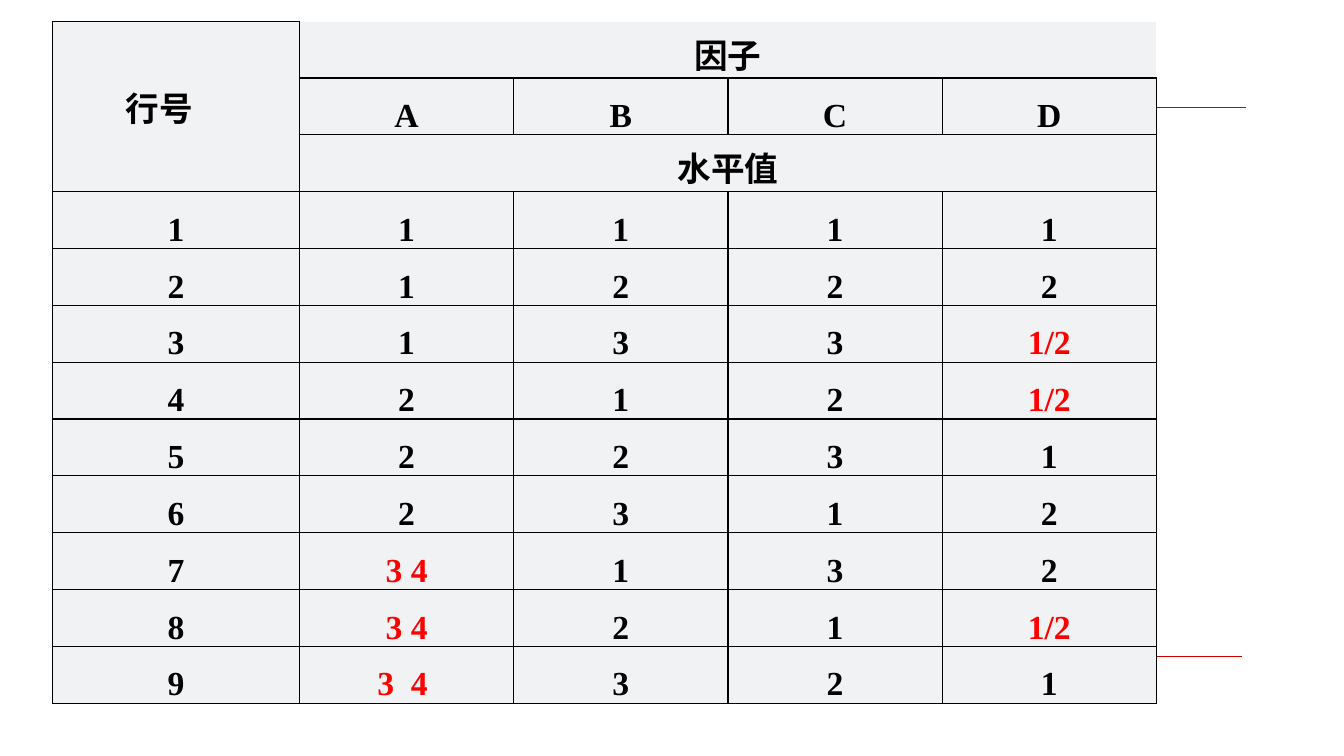
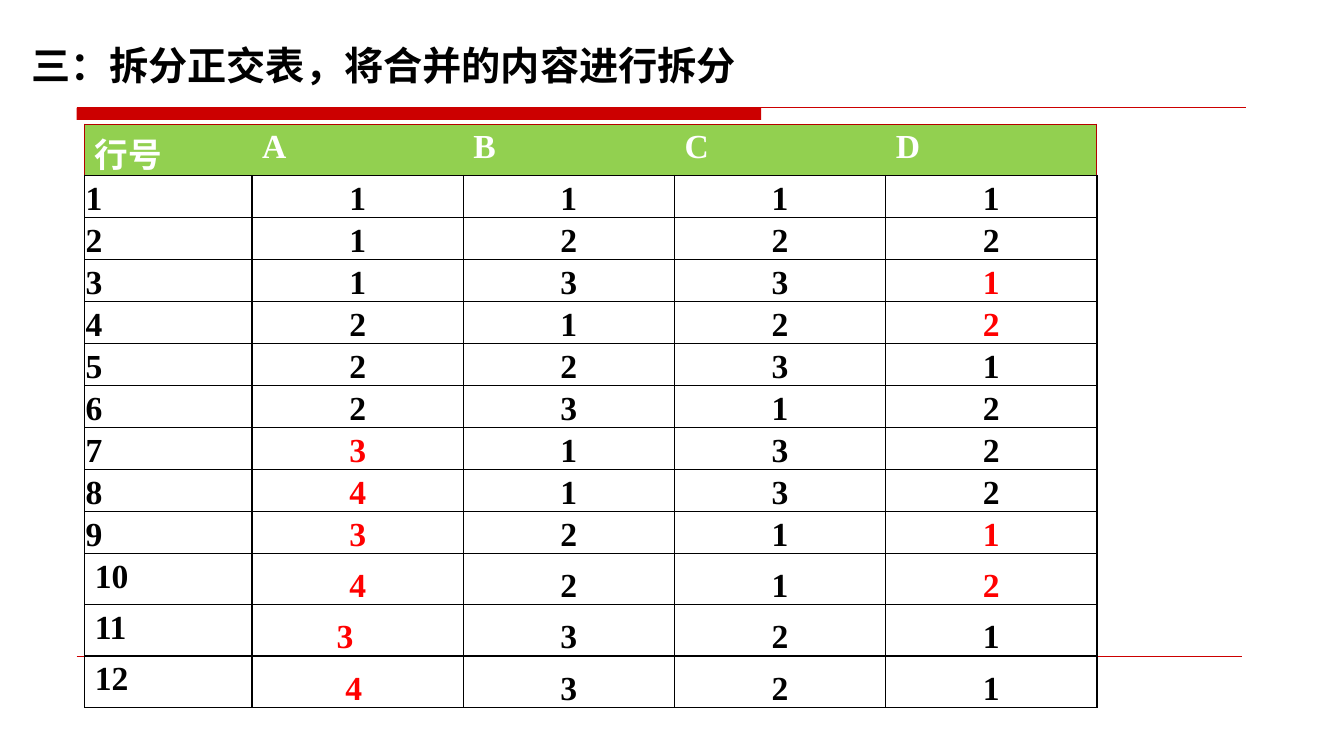
"""Build two slides that show an orthogonal array before and after its merged levels are split."""
from dataclasses import dataclass

from lxml import etree
from pptx import Presentation
from pptx.dml.color import RGBColor
from pptx.enum.shapes import MSO_CONNECTOR, MSO_SHAPE
from pptx.enum.text import MSO_ANCHOR, PP_ALIGN
from pptx.oxml.ns import qn
from pptx.util import Inches, Pt

RECTANGLE = MSO_SHAPE.RECTANGLE
STRAIGHT = MSO_CONNECTOR.STRAIGHT
LEFT, CENTER = PP_ALIGN.LEFT, PP_ALIGN.CENTER
TOP, MIDDLE, BOTTOM = MSO_ANCHOR.TOP, MSO_ANCHOR.MIDDLE, MSO_ANCHOR.BOTTOM


@dataclass(frozen=True)
class Theme:
    """Colours, fonts and type sizes."""
    black: str = "000000"
    white: str = "FFFFFF"
    accent: str = "CC0000"
    edge: str = "B50000"
    changed: str = "FF0000"
    panel: str = "F0F2F4"
    header: str = "92D050"
    latin: str = "Times New Roman"
    chinese: str = "Noto Sans CJK SC"
    title_size: int = 28
    cell_size: int = 24


theme = Theme()
BLACK_LINE = (theme.black, 1)
WHITE_LINE = (theme.white, 1)
EDGE_LINE = (theme.edge, 0.75)
BOXED = dict.fromkeys("LRTB", BLACK_LINE)


def style_paragraph(para, size, latin, color):
    """Set the bold font of a whole paragraph, Chinese letters included."""
    font = para.font
    font.size, font.bold, font.name = Pt(size), True, latin
    font.color.rgb = RGBColor.from_string(color)
    east_asian = etree.Element(qn("a:ea"), typeface=theme.chinese)
    font._element.find(qn("a:latin")).addnext(east_asian)


def fill_cell(cell, text, fill, color=theme.black, align=CENTER, anchor=BOTTOM,
              borders=BOXED, tight=True, right_inset=0.01):
    """Write one table cell with its fill and borders."""
    properties = cell._tc.get_or_add_tcPr()
    for side in "LRTB":
        line = etree.SubElement(properties, qn(f"a:ln{side}"))
        if side in borders:
            line_color, width = borders[side]
            line.set("w", str(Pt(width)))
            solid = etree.SubElement(line, qn("a:solidFill"))
            etree.SubElement(solid, qn("a:srgbClr"), val=line_color)
        else:
            etree.SubElement(line, qn("a:noFill"))
    cell.fill.solid()
    cell.fill.fore_color.rgb = RGBColor.from_string(fill)
    cell.vertical_anchor = anchor
    if tight:
        cell.margin_left = cell.margin_top = Inches(0.01)
        cell.margin_right, cell.margin_bottom = Inches(right_inset), 0
    para = cell.text_frame.paragraphs[0]
    para.text, para.alignment = text, align
    style_paragraph(para, theme.cell_size, theme.latin, color)


deck = Presentation()
deck.slide_width, deck.slide_height = Inches(13.33), Inches(7.5)
blank = deck.slide_layouts[6]

pages = []
for _ in range(2):
    page = deck.slides.add_slide(blank)
    band = page.shapes.add_shape(RECTANGLE, Inches(0.76), Inches(1.07), Inches(6.79), Inches(0.12))
    band.shadow.inherit = False
    band.fill.solid()
    band.fill.fore_color.rgb = RGBColor.from_string(theme.accent)
    band.line.fill.background()
    for right, y, width in ((12.36, 1.07, 0.75), (12.32, 6.51, 0.25)):
        rule = page.shapes.add_connector(STRAIGHT, Inches(0.76), Inches(y), Inches(right), Inches(y))
        rule.line.color.rgb = RGBColor.from_string(theme.accent)
        rule.line.width = Pt(width)
        etree.SubElement(rule._element.spPr, qn("a:effectLst"))
    pages.append(page)
merged_page, split_page = pages

title_box = split_page.shapes.add_textbox(Inches(0.21), Inches(0.13), Inches(11.67), Inches(0.9))
title_box.text_frame.word_wrap = True
title = title_box.text_frame.paragraphs[0]
title.text = "三：拆分正交表，将合并的内容进行拆分"
title.line_spacing, title.space_before = 1.5, Pt(6)
style_paragraph(title, theme.title_size, theme.chinese, theme.black)

factors = ["A", "B", "C", "D"]
merged_rows = [
    ["行号", "因子", "", "", ""],
    ["", *factors],
    ["", "水平值", "", "", ""],
    ["1", "1", "1", "1", "1"],
    ["2", "1", "2", "2", "2"],
    ["3", "1", "3", "3", "1/2"],
    ["4", "2", "1", "2", "1/2"],
    ["5", "2", "2", "3", "1"],
    ["6", "2", "3", "1", "2"],
    ["7", "4", "1", "3", "2"],
    ["8", "4", "2", "1", "1/2"],
    ["9", "3  4", "3", "2", "1"],
]
split_rows = [
    ["行号", *factors],
    ["1", "1", "1", "1", "1"],
    ["2", "1", "2", "2", "2"],
    ["3", "1", "3", "3", "1"],
    ["4", "2", "1", "2", "2"],
    ["5", "2", "2", "3", "1"],
    ["6", "2", "3", "1", "2"],
    ["7", "3", "1", "3", "2"],
    ["8", "4", "1", "3", "2"],
    ["9", "3", "2", "1", "1"],
    ["10", "4", "2", "1", "2"],
    ["11", "3", "3", "2", "1"],
    ["12", "4", "3", "2", "1"],
]
merged_heights = [6.77 / 12] * 12
split_heights = [0.51] + [3.75 / 9] * 9 + [0.51] * 3

tables = []
for page, rows, heights, left, top, width, first in (
        (merged_page, merged_rows, merged_heights, 0.52, 0.21, 10.95, 2.45),
        (split_page, split_rows, split_heights, 0.84, 1.23, 10.04, 1.66)):
    frame = page.shapes.add_table(len(rows), 5, Inches(left), Inches(top),
                                  Inches(width), Inches(sum(heights)))
    table = frame.table
    table.first_row = table.horz_banding = False
    for index, column in enumerate(table.columns):
        column.width = Inches(first if index == 0 else (width - first) / 4)
    for row, height in zip(table.rows, heights):
        row.height = Inches(height)
    tables.append(table)
merged_table, split_table = tables

for start, end in (((0, 0), (2, 0)), ((0, 1), (0, 4)), ((2, 1), (2, 4))):
    merged_table.cell(*start).merge(merged_table.cell(*end))
factor_borders = BOXED | {"T": WHITE_LINE, "R": WHITE_LINE}
for r, row in enumerate(merged_rows):
    for c, text in enumerate(row):
        cell = merged_table.cell(r, c)
        numbered = c == 1 and r in (9, 10)
        changed = numbered or text in ("1/2", "3  4")
        inset = {"行号": 0.34, "3  4": 0.09}.get(text, 0.01)
        fill_cell(cell, text, theme.panel, theme.changed if changed else theme.black,
                  anchor=MIDDLE if text == "行号" else BOTTOM,
                  borders=factor_borders if r == 0 and c else BOXED, right_inset=inset)
        if numbered:
            settings = cell.text_frame.paragraphs[0]._p.get_or_add_pPr()
            settings.set("marL", str(Inches(0.25)))
            settings.set("indent", str(-Inches(0.25)))
            number = etree.Element(qn("a:buAutoNum"), type="arabicPlain", startAt="3")
            settings.find(qn("a:defRPr")).addprevious(number)

changed_cells = {(3, 4), (4, 4), (9, 4), (10, 4)} | {(r, 1) for r in range(7, 13)}
split_insets = {(11, 1): 0.26, (12, 1): 0.09}
for r, row in enumerate(split_rows):
    for c, text in enumerate(row):
        cell = split_table.cell(r, c)
        if r == 0:
            borders = {"T": EDGE_LINE, "B": BLACK_LINE}
            if c in (0, 4):
                borders["L" if c == 0 else "R"] = EDGE_LINE
            fill_cell(cell, text, theme.header, theme.white, LEFT, TOP, borders, tight=False)
            continue
        loose = c == 0 and r > 9
        fill_cell(cell, text, theme.white,
                  theme.changed if (r, c) in changed_cells else theme.black,
                  CENTER if c else LEFT, TOP if loose else BOTTOM,
                  tight=not loose, right_inset=split_insets.get((r, c), 0.01))

deck.save("out.pptx")
